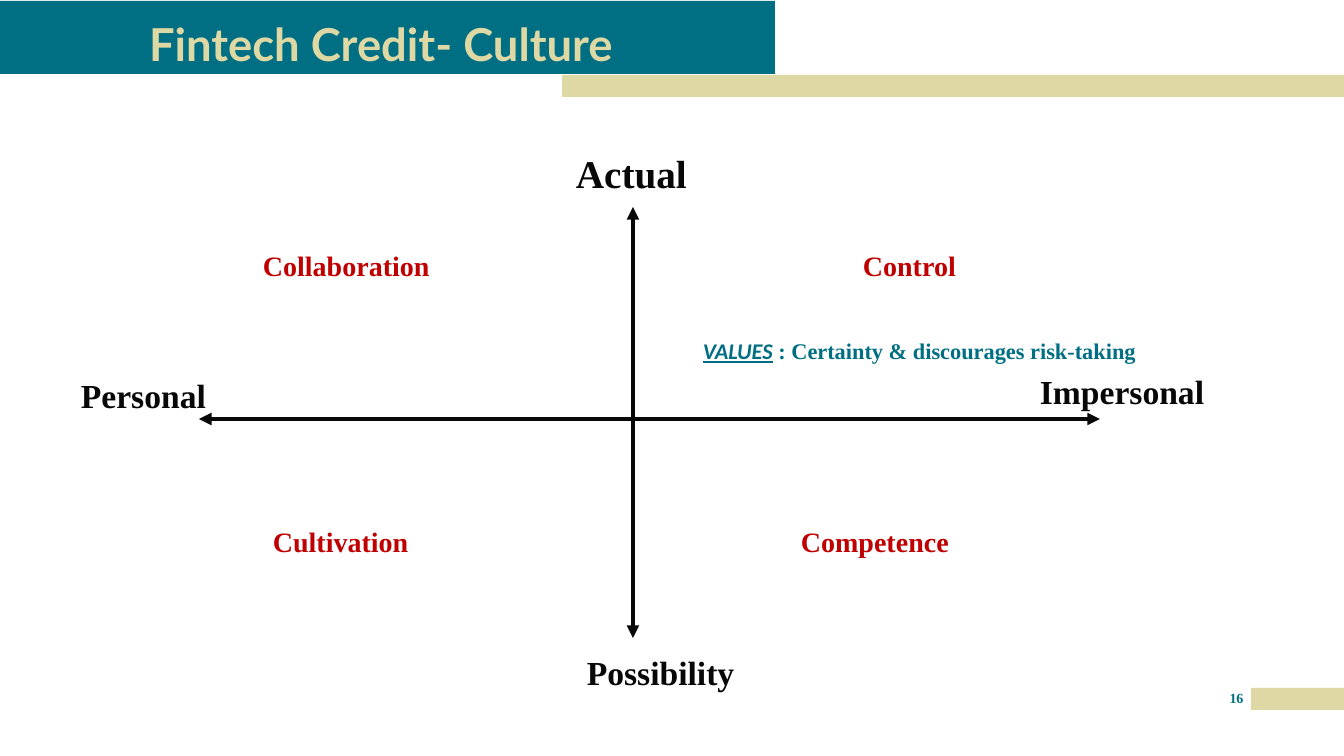
"""Build the Fintech Credit culture quadrant slide."""
from dataclasses import dataclass

from lxml.etree import SubElement
from pptx import Presentation
from pptx.dml.color import RGBColor
from pptx.enum.shapes import MSO_CONNECTOR as Connector, MSO_SHAPE as Shape
from pptx.enum.text import MSO_ANCHOR as Anchor, MSO_AUTO_SIZE as AutoSize, PP_ALIGN as Align
from pptx.oxml.ns import qn
from pptx.util import Pt

EMU_PER_PX = 914400 / 100.8


def px(*lengths):
    """Turn pixel lengths into EMU."""
    return [round(length * EMU_PER_PX) for length in lengths]


@dataclass(frozen=True)
class Theme:
    """Colours, fonts and type sizes of the slide."""
    teal: str = "006F83"
    sand: str = "DED8A4"
    ink: str = "080808"
    red: str = "C00000"
    heading_font: str = "Lato"
    body_font: str = "Times New Roman"
    accent_font: str = "Calibri"
    title_size: float = 32.4
    top_axis_size: int = 28
    axis_size: int = 24
    quadrant_size: int = 20
    values_size: int = 16
    number_size: int = 10
    axis_width: int = 3


def write_run(paragraph, text, *, size, color, font, italic=False, underline=False):
    """Add a bold run of text with the given format."""
    run = paragraph.add_run()
    run.text = text
    run.font.size = Pt(size)
    run.font.name = font
    run.font.bold = True
    run.font.italic = italic
    run.font.underline = underline
    run.font.color.rgb = RGBColor.from_string(color)


class SlideBuilder:
    """Draw elements on one slide in one theme."""

    def __init__(self, slide, theme):
        """Keep the slide and its theme."""
        self.slide = slide
        self.theme = theme

    def bar(self, box, color):
        """Add a plain filled rectangle."""
        shape = self.slide.shapes.add_shape(Shape.RECTANGLE, *px(*box))
        shape.shadow.inherit = False
        shape.fill.solid()
        shape.fill.fore_color.rgb = RGBColor.from_string(color)
        shape.line.fill.background()

    def title(self, text, box, top_inset):
        """Place the title placeholder in front of the bars."""
        title = self.slide.shapes.title
        title.element.getparent().append(title.element)
        title.left, title.top, title.width, title.height = px(*box)
        frame = title.text_frame
        frame.auto_size = AutoSize.NONE
        frame.vertical_anchor = Anchor.MIDDLE
        frame.margin_left = frame.margin_right = frame.margin_bottom = 0
        frame.margin_top = px(top_inset)[0]
        paragraph = frame.paragraphs[0]
        paragraph.alignment = Align.CENTER
        paragraph.line_spacing = 0.9
        write_run(paragraph, text, size=self.theme.title_size,
                  color=self.theme.sand, font=self.theme.heading_font)

    def axis(self, start, end):
        """Add a straight line with an arrowhead at each end."""
        line = self.slide.shapes.add_connector(Connector.STRAIGHT, *px(*start, *end))
        line.line.width = Pt(self.theme.axis_width)
        line.line.color.rgb = RGBColor.from_string(self.theme.ink)
        outline = line.line._get_or_add_ln()
        for tag in ("a:headEnd", "a:tailEnd"):
            SubElement(outline, qn(tag), type="triangle")
        SubElement(line.element.spPr, qn("a:effectLst"))

    def text_box(self, box):
        """Add a wrapping text box and return its frame."""
        frame = self.slide.shapes.add_textbox(*px(*box)).text_frame
        frame.word_wrap = True
        frame.auto_size = AutoSize.SHAPE_TO_FIT_TEXT
        return frame

    def label(self, text, box, size, color):
        """Add a label in the body font."""
        write_run(self.text_box(box).paragraphs[0], text, size=size,
                  color=color, font=self.theme.body_font)

    def values(self, heading, text, box):
        """Add a note led by an underlined heading."""
        paragraph = self.text_box(box).paragraphs[0]
        style = {"size": self.theme.values_size, "color": self.theme.teal}
        write_run(paragraph, heading, font=self.theme.accent_font,
                  italic=True, underline=True, **style)
        write_run(paragraph, text, font=self.theme.body_font, **style)

    def page_number(self, text, box):
        """Add the centred page number."""
        frame = self.text_box(box)
        frame.auto_size = AutoSize.NONE
        frame.margin_left = frame.margin_right = 0
        frame.margin_top = frame.margin_bottom = 0
        frame.paragraphs[0].alignment = Align.CENTER
        write_run(frame.paragraphs[0], text, size=self.theme.number_size,
                  color=self.theme.teal, font=self.theme.body_font)


def main():
    """Build and save the slide."""
    presentation = Presentation()
    presentation.slide_width, presentation.slide_height = px(1344, 756)
    theme = Theme()
    title_only = presentation.slide_layouts[5]
    builder = SlideBuilder(presentation.slides.add_slide(title_only), theme)

    builder.bar((0, 1, 775, 73), theme.teal)
    builder.bar((1251, 688, 93, 22), theme.sand)
    builder.bar((562, 75, 782, 22), theme.sand)
    builder.page_number("16", (1222, 690, 29, 25))
    builder.title("Fintech Credit- Culture", (0, 0, 762, 74), top_inset=20)

    builder.axis((633, 207), (633, 638))
    builder.axis((199, 419), (1100, 419))

    for text, box, size in (
        ("Actual", (566, 144, 242, 57), theme.top_axis_size),
        ("Possibility", (577, 647, 252, 50), theme.axis_size),
        ("Personal", (71, 370, 193, 50), theme.axis_size),
        ("Impersonal", (1030, 366, 193, 50), theme.axis_size),
    ):
        builder.label(text, box, size, theme.ink)

    upper, lower = 244, 520
    for text, left, top, width in (
        ("Control", 853, upper, 165),
        ("Competence", 791, lower, 262),
        ("Cultivation", 263, lower, 282),
        ("Collaboration", 253, upper, 223),
    ):
        builder.label(text, (left, top, width, 44), theme.quadrant_size, theme.red)

    builder.values("VALUES", " : Certainty & discourages risk-taking", (693, 332, 487, 37))
    presentation.save("out.pptx")


if __name__ == "__main__":
    main()
